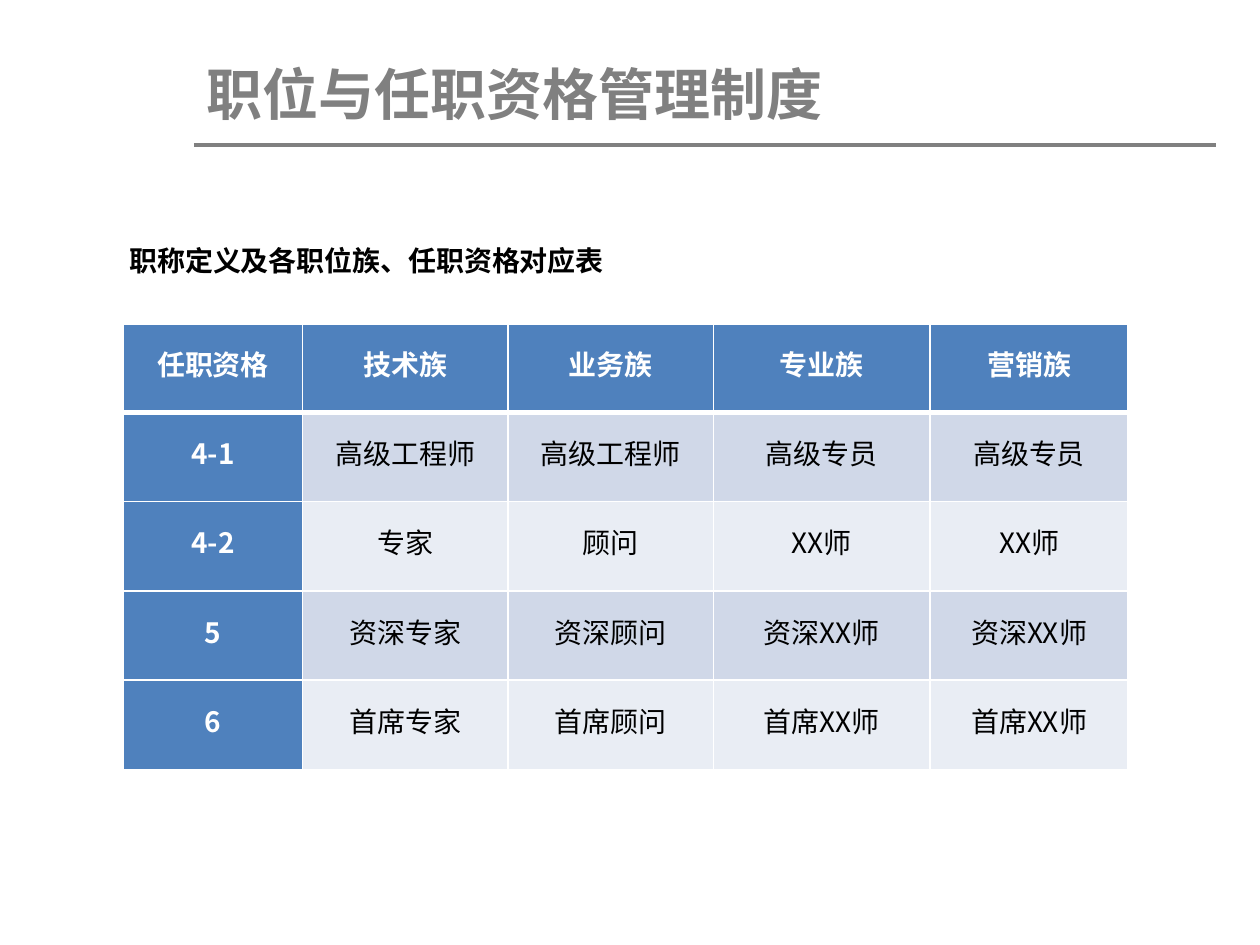
from dataclasses import dataclass

import pptx
import pptx.dml.color
import pptx.enum.shapes
import pptx.enum.text
import pptx.oxml
import pptx.oxml.ns
import pptx.util

Cm = pptx.util.Cm
Pt = pptx.util.Pt
ALIGN = pptx.enum.text.PP_ALIGN
ANCHOR = pptx.enum.text.MSO_ANCHOR

FONT = "Noto Sans CJK SC"
GREY, BLUE, WHITE, BLACK = "808080", "4F81BD", "FFFFFF", "000000"
BANDS = ("D0D8E8", "E9EDF4")

COL_WIDTHS = (3.61, 4.14, 4.14, 4.37, 3.99)
ROW_HEIGHTS = (1.78, 1.8, 1.8, 1.8, 1.8)
ROWS = (
    ("任职资格", "技术族", "业务族", "专业族", "营销族"),
    ("4-1", "高级工程师", "高级工程师", "高级专员", "高级专员"),
    ("4-2", "专家", "顾问", "XX师", "XX师"),
    ("5", "资深专家", "资深顾问", "资深XX师", "资深XX师"),
    ("6", "首席专家", "首席顾问", "首席XX师", "首席XX师"),
)


@dataclass
class TextStyle:
    size: float
    color: str
    bold: bool = True


@dataclass
class CellStyle:
    fill: str
    text: TextStyle
    top: float = 1
    bottom: float = 1


def rgb(value: str) -> pptx.dml.color.RGBColor:
    return pptx.dml.color.RGBColor.from_string(value)


def set_attrs(obj, values: dict) -> None:
    for name, value in values.items():
        setattr(obj, name, value)


def write(tf, text: str, style: TextStyle, **para_format):
    """Write one paragraph with one formatted run."""
    p = tf.paragraphs[0]
    set_attrs(p, para_format)
    r = p.add_run()
    r.text = text
    set_attrs(r.font, {"size": Pt(style.size), "bold": style.bold, "name": FONT})
    r.font.color.rgb = rgb(style.color)
    # East Asian glyphs take their own typeface element
    ea = pptx.oxml.parse_xml(
        f'<a:ea {pptx.oxml.ns.nsdecls("a")} typeface="{FONT}"/>')
    r.font._element.find(pptx.oxml.ns.qn("a:latin")).addnext(ea)
    return p


def format_cell(cell, text: str, style: CellStyle) -> None:
    tcPr = cell._tc.get_or_add_tcPr()
    for side, width in (("L", 1), ("R", 1), ("T", style.top), ("B", style.bottom)):
        tcPr.append(pptx.oxml.parse_xml(
            f'<a:ln{side} {pptx.oxml.ns.nsdecls("a")} w="{Pt(width)}">'
            f'<a:solidFill><a:srgbClr val="{WHITE}"/></a:solidFill></a:ln{side}>'))
    cell.fill.solid()
    cell.fill.fore_color.rgb = rgb(style.fill)
    set_attrs(cell, {
        "margin_left": Cm(0.18), "margin_right": Cm(0.18),
        "margin_top": 0, "margin_bottom": 0,
        "vertical_anchor": ANCHOR.MIDDLE,
    })
    write(cell.text_frame, text, style.text,
          alignment=ALIGN.CENTER, line_spacing=Pt(18))


def cell_style(row: int, col: int) -> CellStyle:
    head = TextStyle(16, WHITE)
    if row == 0:
        return CellStyle(BLUE, head, bottom=3)
    top = 3 if row == 1 else 1
    if col == 0:
        return CellStyle(BLUE, head, top=top)
    return CellStyle(BANDS[(row - 1) % 2], TextStyle(16, BLACK, False), top=top)


def add_title(s) -> None:
    sp = s.shapes.title
    set_attrs(sp, {"left": Cm(3.91), "top": Cm(1.07),
                   "width": Cm(20.6), "height": Cm(1.63)})
    set_attrs(sp.text_frame, {"vertical_anchor": ANCHOR.MIDDLE, "word_wrap": True,
                              "auto_size": pptx.enum.text.MSO_AUTO_SIZE.NONE})
    write(sp.text_frame, "职位与任职资格管理制度", TextStyle(32, GREY),
          alignment=ALIGN.LEFT)


def add_rule(s) -> None:
    line = s.shapes.add_connector(pptx.enum.shapes.MSO_CONNECTOR.STRAIGHT,
                                  Cm(3.91), Cm(2.92), Cm(24.51), Cm(2.92))
    line.line.color.rgb = rgb(GREY)
    line.line.width = Pt(2.25)
    line._element.spPr.append(pptx.oxml.parse_xml(
        f'<a:effectLst {pptx.oxml.ns.nsdecls("a")}/>'))


def add_grade_table(s) -> None:
    table = s.shapes.add_table(len(ROWS), len(COL_WIDTHS), Cm(2.49), Cm(6.53),
                               Cm(sum(COL_WIDTHS)), Cm(sum(ROW_HEIGHTS))).table
    for column, width in zip(table.columns, COL_WIDTHS):
        column.width = Cm(width)
    for row, height in zip(table.rows, ROW_HEIGHTS):
        row.height = Cm(height)
    for i, texts in enumerate(ROWS):
        for j, text in enumerate(texts):
            format_cell(table.cell(i, j), text, cell_style(i, j))


def add_caption(s) -> None:
    sp = s.shapes.add_textbox(Cm(1.09), Cm(4.78), Cm(11.48), Cm(0.94))
    set_attrs(sp.text_frame, {"word_wrap": False, "vertical_anchor": ANCHOR.MIDDLE})
    p = write(sp.text_frame, "职称定义及各职位族、任职资格对应表",
              TextStyle(16, BLACK), level=1, alignment=ALIGN.LEFT)
    pPr = p._p.get_or_add_pPr()
    pPr.set("marL", str(Cm(1.27)))
    pPr.set("indent", "0")


def main() -> None:
    prs = pptx.Presentation()
    set_attrs(prs, {"slide_width": Cm(25.4), "slide_height": Cm(19.05)})
    s = prs.slides.add_slide(prs.slide_layouts.get_by_name("Title Only"))

    # Heading with its rule
    add_title(s)
    add_rule(s)

    # Grade table and its caption
    add_grade_table(s)
    add_caption(s)

    prs.save("out.pptx")


if __name__ == "__main__":
    main()
